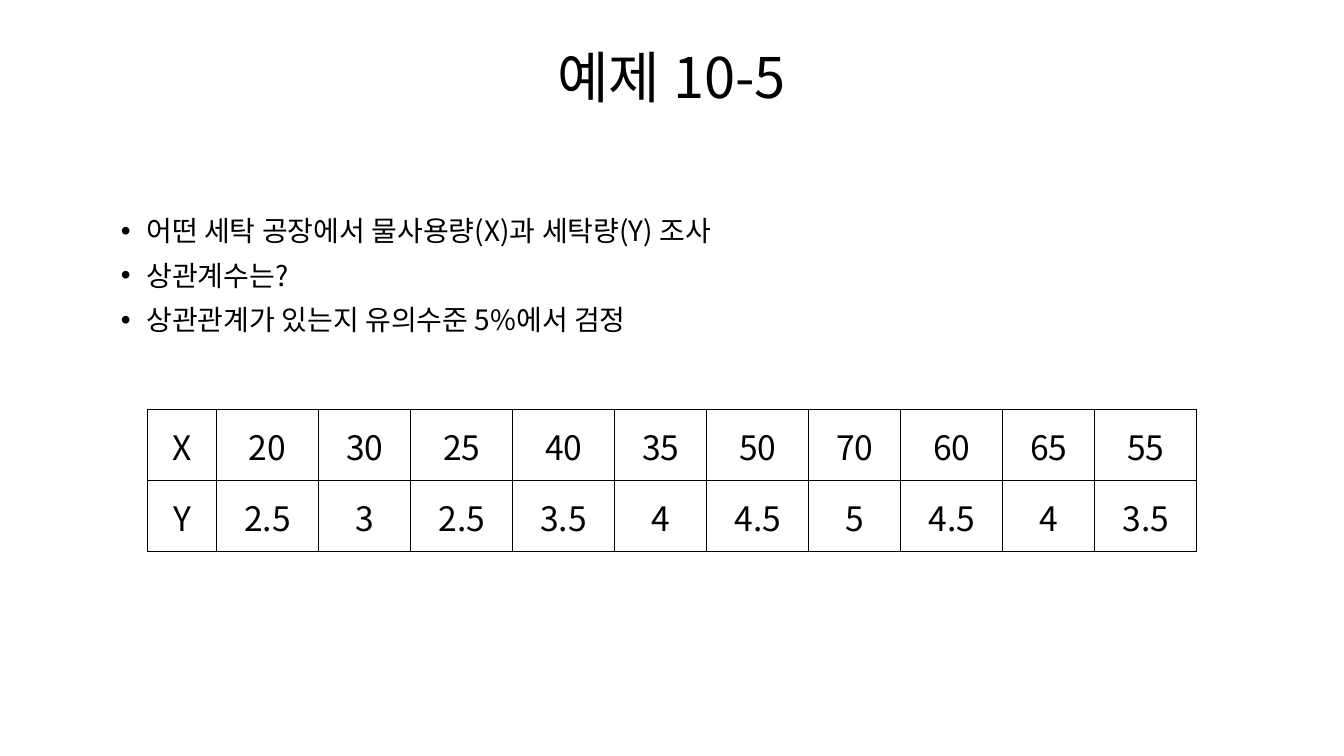
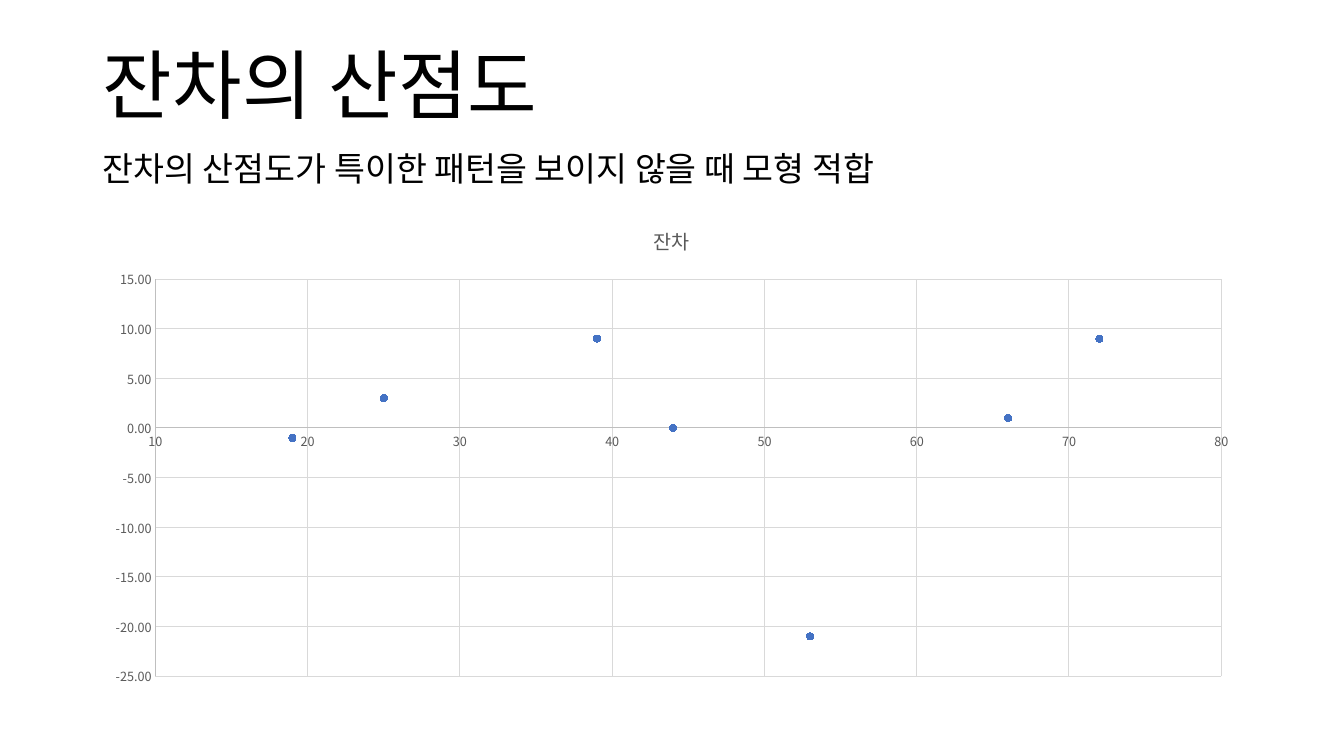
"""Build two slides: a correlation exercise with its data table and a residual scatter chart."""
from lxml import etree
from pptx import Presentation
from pptx.chart.data import XyChartData
from pptx.dml.color import RGBColor
from pptx.enum.chart import XL_CHART_TYPE, XL_MARKER_STYLE, XL_TICK_MARK
from pptx.enum.text import MSO_ANCHOR, MSO_AUTO_SIZE, PP_ALIGN
from pptx.oxml.ns import qn
from pptx.util import Cm, Pt

SCATTER = XL_CHART_TYPE.XY_SCATTER
CIRCLE = XL_MARKER_STYLE.CIRCLE
NO_TICK = XL_TICK_MARK.NONE
LEFT, CENTER = PP_ALIGN.LEFT, PP_ALIGN.CENTER
MIDDLE, BOTTOM, TOP = MSO_ANCHOR.MIDDLE, MSO_ANCHOR.BOTTOM, MSO_ANCHOR.TOP
FONT = "Noto Sans CJK KR"
BLACK, GRAY, AXIS_GRAY, GRID_GRAY, BLUE = "000000", "595959", "BFBFBF", "D9D9D9", "4472C4"


def style_font(font, size, color=BLACK):
    """Apply the shared typeface, weight, size and colour."""
    font.size, font.name, font.bold = Pt(size), FONT, False
    font.color.rgb = RGBColor.from_string(color)


def write_text(shape, box, lines, size, align=LEFT, anchor=TOP, bullet=False):
    """Place a text shape and write one paragraph per line."""
    shape.left, shape.top, shape.width, shape.height = [Cm(length) for length in box]
    frame = shape.text_frame
    frame.word_wrap, frame.auto_size, frame.vertical_anchor = True, MSO_AUTO_SIZE.NONE, anchor
    for index, line in enumerate(lines):
        paragraph = frame.add_paragraph() if index else frame.paragraphs[0]
        paragraph.alignment, paragraph.line_spacing = align, 0.9
        paragraph.space_before = Pt(10 if index else 0)
        if bullet:
            properties = paragraph._p.get_or_add_pPr()
            properties.set("marL", str(Cm(0.64)))
            properties.set("indent", str(-Cm(0.64)))
            etree.SubElement(properties, qn("a:buFont"), typeface="Arial")
            etree.SubElement(properties, qn("a:buChar"), char="•")
        run = paragraph.add_run()
        run.text = line
        style_font(run.font, size)


prs = Presentation()
prs.slide_width, prs.slide_height = Cm(33.87), Cm(19.05)
title_only = prs.slide_layouts[5]

exercise = prs.slides.add_slide(title_only)
write_text(exercise.shapes.title, (2.79, 0.48, 28.27, 3.1), ["예제 10-5"], 40, CENTER, MIDDLE)
questions = exercise.shapes.add_textbox(0, 0, 0, 0)
write_text(questions, (2.8, 4.06, 28.27, 5.84), [
    "어떤 세탁 공장에서 물사용량(X)과 세탁량(Y) 조사",
    "상관계수는?",
    "상관관계가 있는지 유의수준 5%에서 검정",
], 20, anchor=MIDDLE, bullet=True)

measurements = [
    ["X", "20", "30", "25", "40", "35", "50", "70", "60", "65", "55"],
    ["Y", "2.5", "3", "2.5", "3.5", "4", "4.5", "5", "4.5", "4", "3.5"],
]
widths = [1.75] + [2.57 if "." in amount else 2.32 for amount in measurements[1][1:]]
table = exercise.shapes.add_table(2, len(widths), Cm(3.71), Cm(10.31), Cm(sum(widths)), Cm(3.57)).table
table.first_row = table.horz_banding = False
for column, width in zip(table.columns, widths):
    column.width = Cm(width)
cell_format = {"margin_left": Cm(0.08), "margin_right": Cm(0.08), "margin_top": Cm(0.08),
               "margin_bottom": 0, "vertical_anchor": MIDDLE}
for row, entries in enumerate(measurements):
    for col, entry in enumerate(entries):
        cell = table.cell(row, col)
        for name, setting in cell_format.items():
            setattr(cell, name, setting)
        for side in ("lnL", "lnR", "lnT", "lnB"):
            border = etree.SubElement(cell._tc.get_or_add_tcPr(), qn(f"a:{side}"), w=str(Pt(0.5)))
            fill = etree.SubElement(border, qn("a:solidFill"))
            etree.SubElement(fill, qn("a:srgbClr"), val=BLACK)
        cell.fill.background()
        paragraph = cell.text_frame.paragraphs[0]
        paragraph.alignment = CENTER
        run = paragraph.add_run()
        run.text = entry
        style_font(run.font, 24)

residuals = prs.slides.add_slide(title_only)
write_text(residuals.shapes.title, (2.34, 0.81, 29.21, 2.59), ["잔차의 산점도"], 54, anchor=BOTTOM)
criterion = residuals.shapes.add_textbox(0, 0, 0, 0)
write_text(criterion, (2.34, 3.71, 29.21, 1.17), ["잔차의 산점도가 특이한 패턴을 보이지 않을 때 모형 적합"], 24)

data = XyChartData()
residual_data = data.add_series("잔차")
for x, residual in [(25, 3), (39, 9), (19, -1), (44, 0), (53, -21), (66, 1), (72, 9)]:
    residual_data.add_data_point(x, residual)
chart = residuals.shapes.add_chart(SCATTER, Cm(2.33), Cm(5.17), Cm(29.21), Cm(12.34), data).chart
style_font(chart.font, 10)
chart.has_legend = False
chart.has_title = True
chart.chart_title.include_in_layout = False
heading = chart.chart_title.text_frame.paragraphs[0].add_run()
heading.text = "잔차"
style_font(heading.font, 14, GRAY)

axis_formats = [
    (chart.category_axis, {"minimum_scale": 10, "maximum_scale": 80, "major_unit": 10}, "General"),
    (chart.value_axis, {"minimum_scale": -25, "maximum_scale": 15, "major_unit": 5}, "0.00"),
]
for axis, scale, number_format in axis_formats:
    shared = {"major_tick_mark": NO_TICK, "minor_tick_mark": NO_TICK, "has_major_gridlines": True}
    for name, setting in (scale | shared).items():
        setattr(axis, name, setting)
    axis.tick_labels.number_format = number_format
    axis.tick_labels.number_format_is_linked = False
    style_font(axis.tick_labels.font, 9, GRAY)
    for line, color in ((axis.format.line, AXIS_GRAY), (axis.major_gridlines.format.line, GRID_GRAY)):
        line.width = Pt(0.75)
        line.color.rgb = RGBColor.from_string(color)

plot = chart.plots[0]
plot.vary_by_categories = False
points = plot.series[0]
points.smooth = False
points.format.line.fill.background()
points.marker.style, points.marker.size = CIRCLE, 5
points.marker.format.fill.solid()
points.marker.format.fill.fore_color.rgb = RGBColor.from_string(BLUE)
points.marker.format.line.color.rgb = RGBColor.from_string(BLUE)

prs.save("out.pptx")
